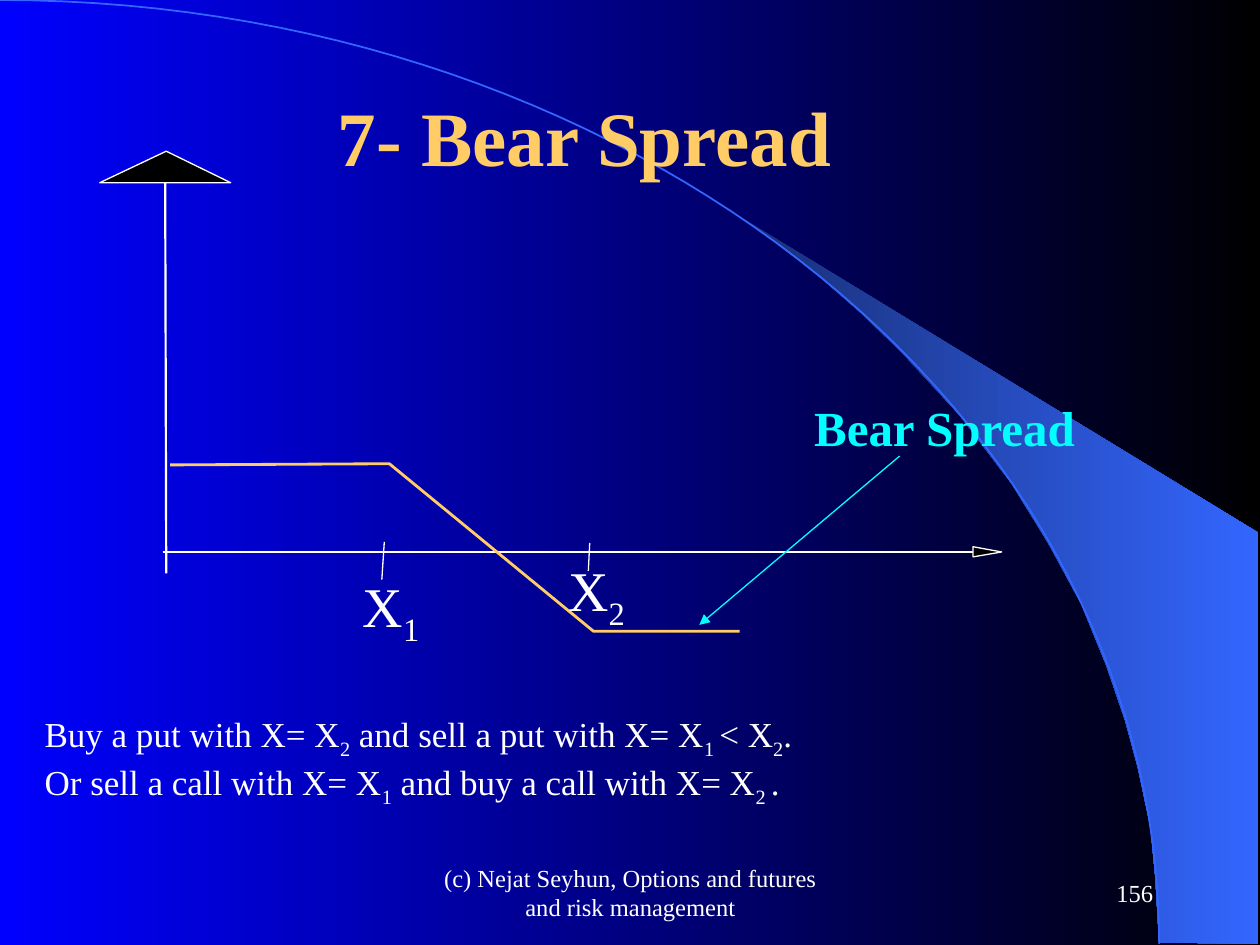
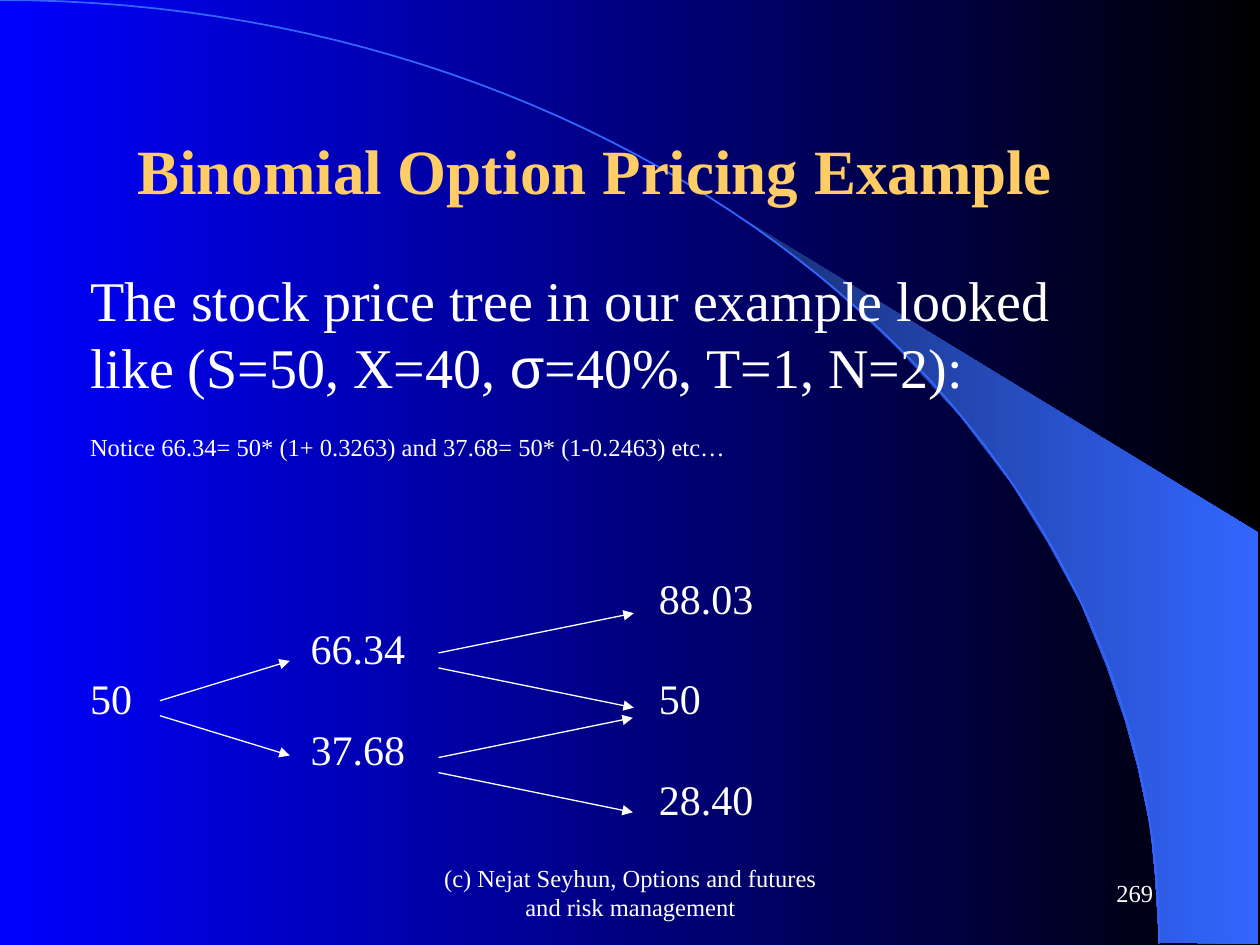
import pptx
import pptx.util
import pptx.dml.color
import pptx.enum.text
import pptx.enum.shapes
import pptx.oxml
import pptx.oxml.ns
import lxml.etree

Pt = pptx.util.Pt
RGBColor = pptx.dml.color.RGBColor
ALIGN = pptx.enum.text.PP_ALIGN
ANCHOR = pptx.enum.text.MSO_ANCHOR

BLUE = RGBColor(0x00, 0x00, 0xFF)
BLACK = RGBColor(0x00, 0x00, 0x00)
WHITE = RGBColor(0xFF, 0xFF, 0xFF)
GOLD = RGBColor(0xFF, 0xCC, 0x66)
CYAN = RGBColor(0x00, 0xFF, 0xFF)
NAVY = RGBColor(0x18, 0x2F, 0x76)
SKY = RGBColor(0x33, 0x66, 0xFF)
FONT = "Times New Roman"
SYMBOL_FONT = "Arial"
FOOTER = "(c) Nejat Seyhun, Options and futures and risk management"

SLIDE_BOX = (0, 0, 720, 540)
SWEEP = [(662.4, 538.6), (719.3, 539.3), (719.3, 304.6), (424.1, 124.6),
         (449.3, 143.3), (470.2, 159.8), (493.2, 180), (515.5, 201.6),
         (548.6, 237.6), (578.2, 276.5), (599, 310.3), (617.8, 344.9),
         (632.2, 380.2), (643, 411.8), (650.2, 438.5), (657.4, 472.3),
         (660.2, 501.1)]
ARC = [(0, 0), (365.8, 0), (662.4, 241.2), (662.4, 539.3)]
ARC_STEPS = 60


def set_gradient(fill, start, end):
    """Fill from left to right between two colours."""
    fill.gradient()
    fill.gradient_angle = 0
    for stop, color in zip(fill.gradient_stops, (start, end)):
        stop.color.rgb = color


def add_outline(s, box, points, line=None, width=0.75, fill=None, close=True):
    """Draw a freeform through points measured from the box corner."""
    placed = [(Pt(box[0] + x), Pt(box[1] + y)) for x, y in points]
    builder = s.shapes.build_freeform(*placed[0])
    builder.add_line_segments(placed[1:], close=close)
    sp = builder.convert_to_shape()
    sp.shadow.inherit = False
    if fill is None:
        sp.fill.background()
    else:
        sp.fill.solid()
        sp.fill.fore_color.rgb = fill
    if line is None:
        sp.line.fill.background()
    else:
        sp.line.color.rgb = line
        sp.line.width = Pt(width)
    return sp


def add_line(s, box, start, end, color=WHITE, width=0.75, arrow=False):
    """Draw a straight line between points measured from the box corner."""
    x, y = box[:2]
    line = s.shapes.add_connector(
        pptx.enum.shapes.MSO_CONNECTOR.STRAIGHT,
        Pt(x + start[0]), Pt(y + start[1]), Pt(x + end[0]), Pt(y + end[1]))
    line.line.color.rgb = color
    line.line.width = Pt(width)
    qn = pptx.oxml.ns.qn
    if arrow:
        ln = line.line._get_or_add_ln()
        lxml.etree.SubElement(ln, qn("a:tailEnd"), type="triangle")
    lxml.etree.SubElement(line._element.spPr, qn("a:effectLst"))


def write(p, pieces, size, color=WHITE, bold=False):
    """Fill a paragraph with equally styled runs and return them."""
    runs = []
    for piece in pieces:
        r = p.add_run()
        r.text = piece
        r.font.name = FONT
        r.font.size = Pt(size)
        r.font.bold = bold
        r.font.color.rgb = color
        runs.append(r)
    return runs


def write_subscripted(p, marked, size):
    """Write text whose subscripts stand between bars."""
    for r in write(p, marked.split("|"), size)[1::2]:
        r._r.get_or_add_rPr().set("baseline", "-25000")


def add_text_frame(s, box, left, top, width, height, wrap=True):
    """Add an empty text box placed from the box corner."""
    sp = s.shapes.add_textbox(Pt(box[0] + left), Pt(box[1] + top),
                              Pt(width), Pt(height))
    sp.text_frame.word_wrap = wrap
    return sp.text_frame


def add_backdrop(s, box):
    """Draw the bright sweep and the thin arc."""
    sweep = add_outline(s, box, SWEEP)
    set_gradient(sweep.fill, NAVY, SKY)
    arc = []
    for i in range(ARC_STEPS + 1):
        t = i / ARC_STEPS
        weights = ((1 - t) ** 3, 3 * t * (1 - t) ** 2, 3 * t * t * (1 - t), t ** 3)
        arc.append(tuple(sum(w * pt[axis] for w, pt in zip(weights, ARC))
                         for axis in (0, 1)))
    add_outline(s, box, arc, SKY, 1, close=False)


def add_footer(s, box, number):
    """Write the copyright line and the slide number."""
    for text, left, width, align in ((FOOTER, 0, 228.2, ALIGN.CENTER),
                                     (number, 270, 149.8, ALIGN.RIGHT)):
        tf = add_text_frame(s, box, left, 0, width, box[3])
        tf.vertical_anchor = ANCHOR.MIDDLE
        tf.paragraphs[0].alignment = align
        write(tf.paragraphs[0], [text], 14)


def set_title(s, box, text, size):
    """Place the title in front of the backdrop."""
    title = s.shapes.title
    title.left, title.top, title.width, title.height = map(Pt, box)
    tf = title.text_frame
    tf.auto_size = pptx.enum.text.MSO_AUTO_SIZE.NONE
    tf.word_wrap = True
    tf.vertical_anchor = ANCHOR.TOP
    tf.paragraphs[0].alignment = ALIGN.LEFT
    write(tf.paragraphs[0], [text], size, GOLD, True)
    title._element.getparent().append(title._element)


def add_base_slide(prs, title, size, title_box, number):
    """Add a slide with its backdrop, footer and title."""
    s = prs.slides.add_slide(prs.slide_layouts[5])
    add_backdrop(s, SLIDE_BOX)
    add_footer(s, (246.2, 492, 420, 36), number)
    set_title(s, title_box, title, size)
    return s


def add_payoff_diagram(s, box):
    """Draw the axes, strike marks and bear spread payoff."""
    add_line(s, box, (38, 241.2), (37.4, 17.3), width=1.25)
    add_outline(s, box, [(0, 18), (38, 0), (74.8, 18)], WHITE, fill=BLACK)
    add_line(s, box, (36, 229), (499.6, 229), width=1.25)
    add_outline(s, box, [(499, 226), (515.4, 229), (499, 231.8)], WHITE, fill=BLACK)
    payoff = [(40.2, 179.3), (165.5, 178.6), (282.1, 274.3), (365.6, 274.3)]
    add_outline(s, box, payoff, GOLD, 1.62, close=False)

    strikes = [("X|1", 143.2, 236.6, (162.6, 223.2), (161.2, 244.8)),
               ("X|2", 260.5, 227.5, (280, 223.9), (279.2, 239.8))]
    for label, left, top, tick_start, tick_end in strikes:
        tf = add_text_frame(s, box, left, top, 46.8, 51, wrap=False)
        write_subscripted(tf.paragraphs[0], label, 32)
        add_line(s, box, tick_start, tick_end)

    tf = add_text_frame(s, box, 401.2, 137.3, 239, 41)
    write(tf.paragraphs[0], ["Bear Spread"], 28, CYAN, True)
    add_line(s, box, (457.1, 174.2), (342.6, 270.7), CYAN, arrow=True)


def add_strategy(s, box):
    """Write the two ways to build the spread."""
    tf = add_text_frame(s, box, 0, 0, *box[2:])
    write_subscripted(
        tf.paragraphs[0],
        "Buy a put with X= X|2| and sell a put with X= X|1 |< X|2|.", 20)
    write_subscripted(
        tf.add_paragraph(),
        "Or sell a call with X= X|1| and buy a call with X= X|2 |.", 20)


def add_intro(s, box):
    """Write the parameters of the example and the note below."""
    tf = add_text_frame(s, box, 0, 0, *box[2:])
    runs = write(tf.paragraphs[0],
                 ["The stock price tree in our example looked like (S=50, X=40, ",
                  "σ", "=40%, T=1, N=2):"], 32)
    runs[1].font.name = SYMBOL_FONT
    p = tf.add_paragraph()
    p.space_before = Pt(18)
    write(p, ["Notice 66.34= 50* (1+ 0.3263) and 37.68= 50* (1-0.2463) etc…"], 14)


def add_price_tree(s, box):
    """Draw the two-period tree of stock prices."""
    row_height = box[3] / 5
    levels = [(0.3, ["50"]), (126.2, ["66.34", "37.68"]),
              (325.2, ["88.03", "50", "28.40"])]
    for level, (left, prices) in enumerate(levels):
        for i, price in enumerate(prices):
            row = 2 - level + 2 * i
            tf = add_text_frame(s, box, left, row * row_height, 80, 36, wrap=False)
            write(tf.paragraphs[0], [price], 24)
    for start, end, middle in ((47.2, 121.4, 81.2), (206.4, 318, 53.9),
                               (206.4, 317.4, 113.7)):
        for side in (-1, 1):
            add_line(s, box, (start, middle + side * 4.3),
                     (end, middle + side * 27), arrow=True)


def main():
    """Build both slides and save the presentation."""
    prs = pptx.Presentation()
    prs.slide_width, prs.slide_height = map(Pt, SLIDE_BOX[2:])
    set_gradient(prs.slide_master.background.fill, BLUE, BLACK)

    s = add_base_slide(prs, "7- Bear Spread", 44, (185.8, 47.5, 310, 60.5), "156")
    add_payoff_diagram(s, (57, 86.4, 640, 285))
    add_strategy(s, (18.4, 403.6, 700, 62))

    s = add_base_slide(prs, "Binomial Option Pricing Example", 36,
                       (71.3, 71.3, 570, 50.4), "269")
    add_intro(s, (44.4, 148.3, 609, 122))
    add_price_tree(s, (44.2, 323.5, 410, 143.75))

    prs.save("out.pptx")


if __name__ == "__main__":
    main()
